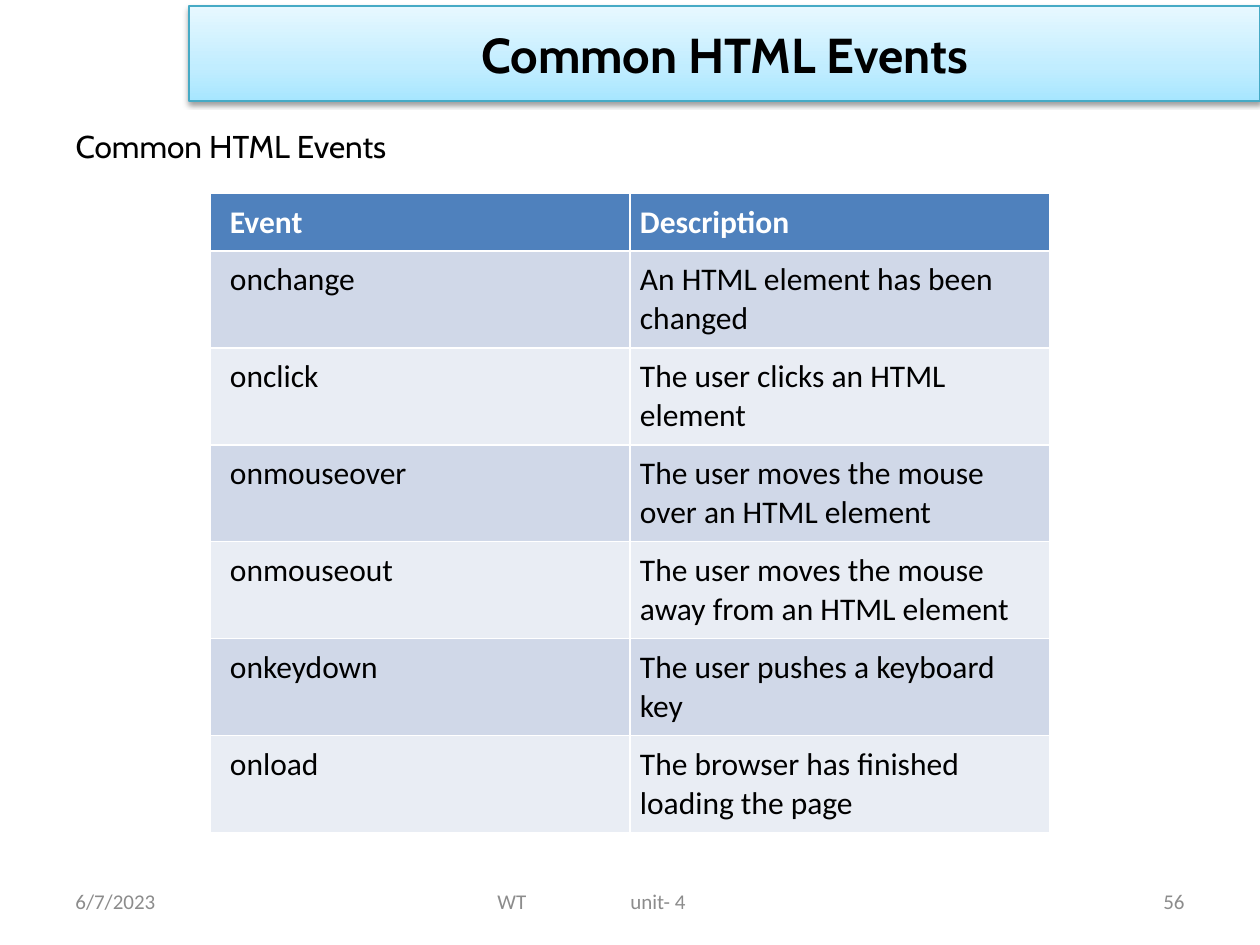
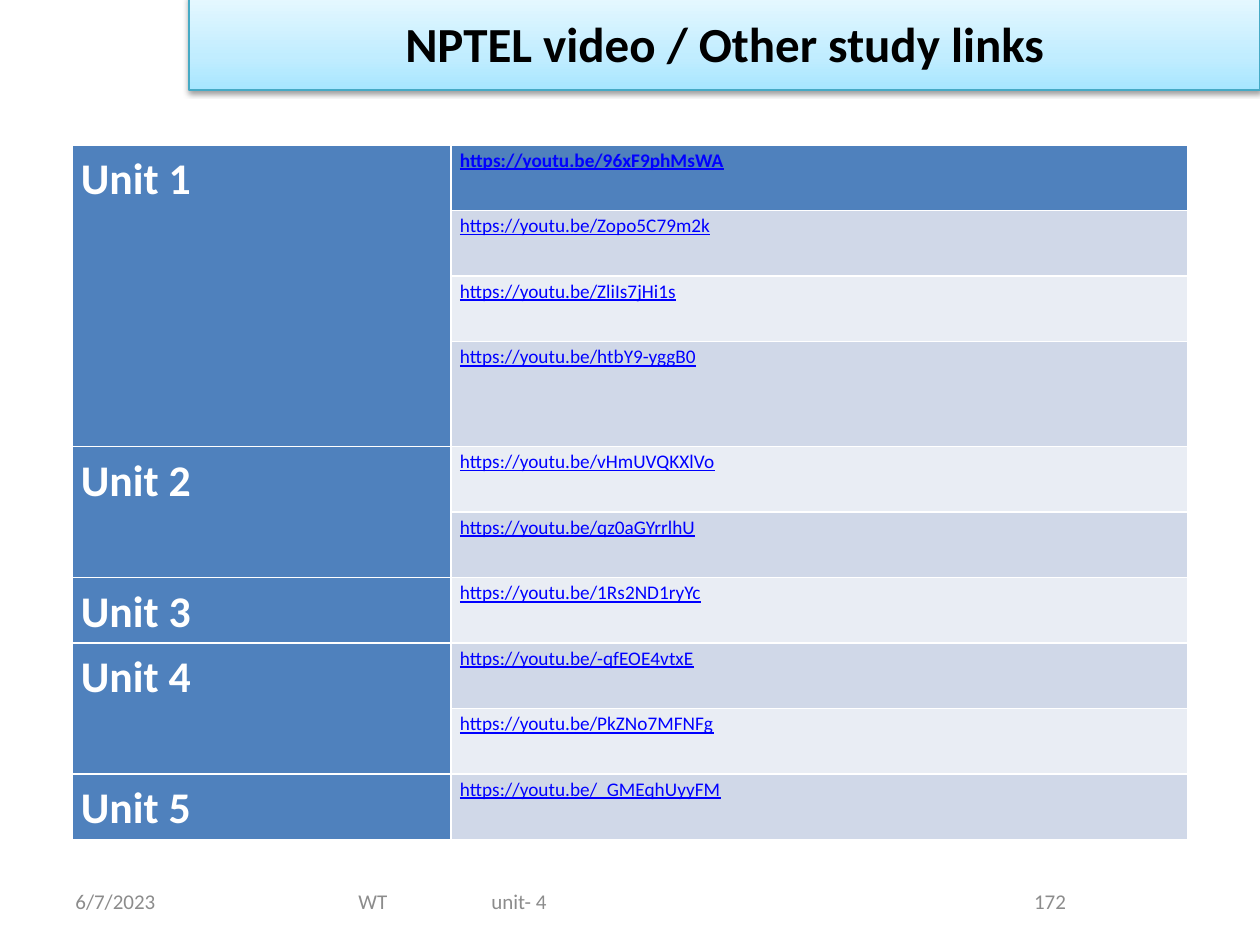
"""Build two course slides: a table of HTML events and a table of study links."""
import lxml.etree
import pptx
import pptx.dml.color
import pptx.enum.text
import pptx.oxml
import pptx.util

ALIGN = pptx.enum.text.PP_ALIGN
ANCHOR = pptx.enum.text.MSO_ANCHOR
NAMESPACE = 'xmlns:a="http://schemas.openxmlformats.org/drawingml/2006/main"'

THEME = {
    "header": "4F81BD",
    "bands": ["E9EDF4", "D0D8E8"],
    "title_line": "46AAC5",
    "title_gradient": [(0, "A7E6FF"), (35, "C1EDFF"), (100, "E7F8FF")],
    "title": {"name": "Calibri", "size": 28, "bold": True, "color": "000000"},
    "lead": {"name": "Cabin", "size": 18, "bold": False, "color": "000000"},
    "footer": {"name": "Calibri", "size": 12, "bold": False, "color": "8C8C8C"},
    "event_header": {"name": "Calibri", "size": 18, "bold": True, "color": "FFFFFF"},
    "event": {"name": "Calibri", "size": 18, "bold": False, "color": "000000"},
    "unit": {"name": "Calibri", "size": 25, "bold": True, "color": "FFFFFF"},
    "link": {"name": "Calibri", "size": 11, "bold": False, "underline": True, "color": "0000FF"},
}


def px(length):
    """Turn pixels into EMU."""
    return round(length * 914400 / 126)


def write(text_frame, text, style, **paragraph_format):
    """Fill a text frame with one formatted paragraph and return it."""
    text_frame.word_wrap = True
    paragraph = text_frame.paragraphs[0]
    for name, value in paragraph_format.items():
        setattr(paragraph, name, value)
    run = paragraph.add_run()
    run.text = text
    for name, value in style.items():
        if name == "color":
            run.font.color.rgb = pptx.dml.color.RGBColor.from_string(value)
        else:
            setattr(run.font, name, pptx.util.Pt(value) if name == "size" else value)
    return paragraph


presentation = pptx.Presentation()
presentation.slide_width = px(1260)
presentation.slide_height = px(945)

stops = "".join(
    f'<a:gs pos="{position * 1000}"><a:srgbClr val="{colour}"/></a:gs>'
    for position, colour in THEME["title_gradient"]
)
title_geometry = f'<a:prstGeom {NAMESPACE} prst="rect"><a:avLst/></a:prstGeom>'
title_fill = (
    f'<a:gradFill {NAMESPACE} rotWithShape="1"><a:gsLst>{stops}</a:gsLst>'
    '<a:lin ang="16200000" scaled="0"/></a:gradFill>'
)
title_shadow = (
    f'<a:effectLst {NAMESPACE}><a:outerShdw blurRad="40000" dist="20000" dir="5400000" '
    'rotWithShape="0"><a:srgbClr val="000000"><a:alpha val="38000"/></a:srgbClr>'
    '</a:outerShdw></a:effectLst>'
)

frames = [
    {"layout": 1, "title": "Common HTML Events", "font": "Cabin", "title_top": 6,
     "footer_left": 485, "number": "56", "number_align": ALIGN.RIGHT},
    {"layout": 5, "title": "NPTEL video / Other study links", "font": "Calibri", "title_top": -5,
     "footer_left": 346, "number": "172", "number_align": ALIGN.CENTER},
]
slides = []
for frame in frames:
    slide = presentation.slides.add_slide(presentation.slide_layouts[frame["layout"]])
    slides.append(slide)
    title = slide.shapes.title
    title.left, title.top = px(189), px(frame["title_top"])
    title.width, title.height = px(1071), px(95)
    properties = title.element.spPr
    properties.append(pptx.oxml.parse_xml(title_geometry))
    properties.append(pptx.oxml.parse_xml(title_fill))
    title.line.color.rgb = pptx.dml.color.RGBColor.from_string(THEME["title_line"])
    title.line.width = pptx.util.Pt(0.75)
    properties.append(pptx.oxml.parse_xml(title_shadow))
    title.text_frame.vertical_anchor = ANCHOR.MIDDLE
    title.text_frame.auto_size = pptx.enum.text.MSO_AUTO_SIZE.NONE
    write(title.text_frame, frame["title"], {**THEME["title"], "name": frame["font"]},
          alignment=ALIGN.CENTER)

    for left, width, text, alignment in [
        (63, 294, "6/7/2023", ALIGN.LEFT),
        (frame["footer_left"], 260, "WT\tunit- 4", ALIGN.LEFT),
        (903, 294, frame["number"], frame["number_align"]),
    ]:
        footer = slide.shapes.add_textbox(px(left), px(876), px(width), px(50))
        footer.text_frame.vertical_anchor = ANCHOR.MIDDLE
        paragraph = write(footer.text_frame, text, THEME["footer"], alignment=alignment)
        if "\t" in text:
            paragraph_properties = paragraph._p.get_or_add_pPr()
            paragraph_properties.append(pptx.oxml.parse_xml(
                f'<a:tabLst {NAMESPACE}><a:tab pos="{px(133)}" algn="l"/></a:tabLst>'))

events_slide, links_slide = slides

lead = events_slide.placeholders[1]
lead.left, lead.top, lead.width, lead.height = px(63), px(121), px(1134), px(730)
paragraph = write(lead.text_frame, "Common HTML Events", THEME["lead"],
                  space_before=pptx.util.Pt(0))
paragraph_properties = paragraph._p.get_or_add_pPr()
paragraph_properties.set("marL", "0")
paragraph_properties.set("indent", "0")
paragraph_properties.append(pptx.oxml.parse_xml(f"<a:buNone {NAMESPACE}/>"))

events = [
    ("Event", "Description"),
    ("onchange", "An HTML element has been changed"),
    ("onclick", "The user clicks an HTML element"),
    ("onmouseover", "The user moves the mouse over an HTML element"),
    ("onmouseout", "The user moves the mouse away from an HTML element"),
    ("onkeydown", "The user pushes a keyboard key"),
    ("onload", "The browser has finished loading the page"),
]
event_table = events_slide.shapes.add_table(
    len(events), 2, px(210), px(193), px(840), px(639)).table
for row, texts in enumerate(events):
    event_table.rows[row].height = px(97 if row else 57)
    for column, text in enumerate(texts):
        cell = event_table.cell(row, column)
        cell.margin_left = px(10 if column else 20)
        cell.margin_right = cell.margin_top = cell.margin_bottom = px(10)
        cell.fill.solid()
        cell.fill.fore_color.rgb = pptx.dml.color.RGBColor.from_string(
            THEME["bands"][row % 2] if row else THEME["header"])
        write(cell.text_frame, text, THEME["event" if row else "event_header"])

units = [
    ("Unit 1", ["96xF9phMsWA", "Zopo5C79m2k", "ZliIs7jHi1s", "htbY9-yggB0"]),
    ("Unit 2", ["vHmUVQKXlVo", "qz0aGYrrlhU"]),
    ("Unit 3", ["1Rs2ND1ryYc"]),
    ("Unit 4", ["-qfEOE4vtxE", "PkZNo7MFNFg"]),
    ("Unit 5", ["_GMEqhUyyFM"]),
]
link_rows = [(unit, video, index, len(videos))
             for unit, videos in units for index, video in enumerate(videos)]
link_table = links_slide.shapes.add_table(
    len(link_rows), 2, px(72), px(145), px(1116), px(695)).table
link_table.columns[0].width = px(379)
link_table.columns[1].width = px(737)
spacing = {"line_spacing": 1.15, "space_after": pptx.util.Pt(10)}
for row, (unit, video, index, count) in enumerate(link_rows):
    link_table.rows[row].height = px(105) if row == 3 else px(590) // 9
    unit_cell, link_cell = link_table.cell(row, 0), link_table.cell(row, 1)
    band = THEME["bands"][row % 2] if row else THEME["header"]
    for cell, colour in [(unit_cell, THEME["header"]), (link_cell, band)]:
        cell.margin_left = cell.margin_right = px(9)
        cell.margin_top = cell.margin_bottom = 0
        cell.fill.solid()
        cell.fill.fore_color.rgb = pptx.dml.color.RGBColor.from_string(colour)
    write(link_cell.text_frame, f"https://youtu.be/{video}",
          {**THEME["link"], "bold": row == 0}, **spacing)
    if index == 0:
        write(unit_cell.text_frame, unit, THEME["unit"], **spacing)
        if count > 1:
            unit_cell.merge(link_table.cell(row + count - 1, 0))

presentation.save("out.pptx")
